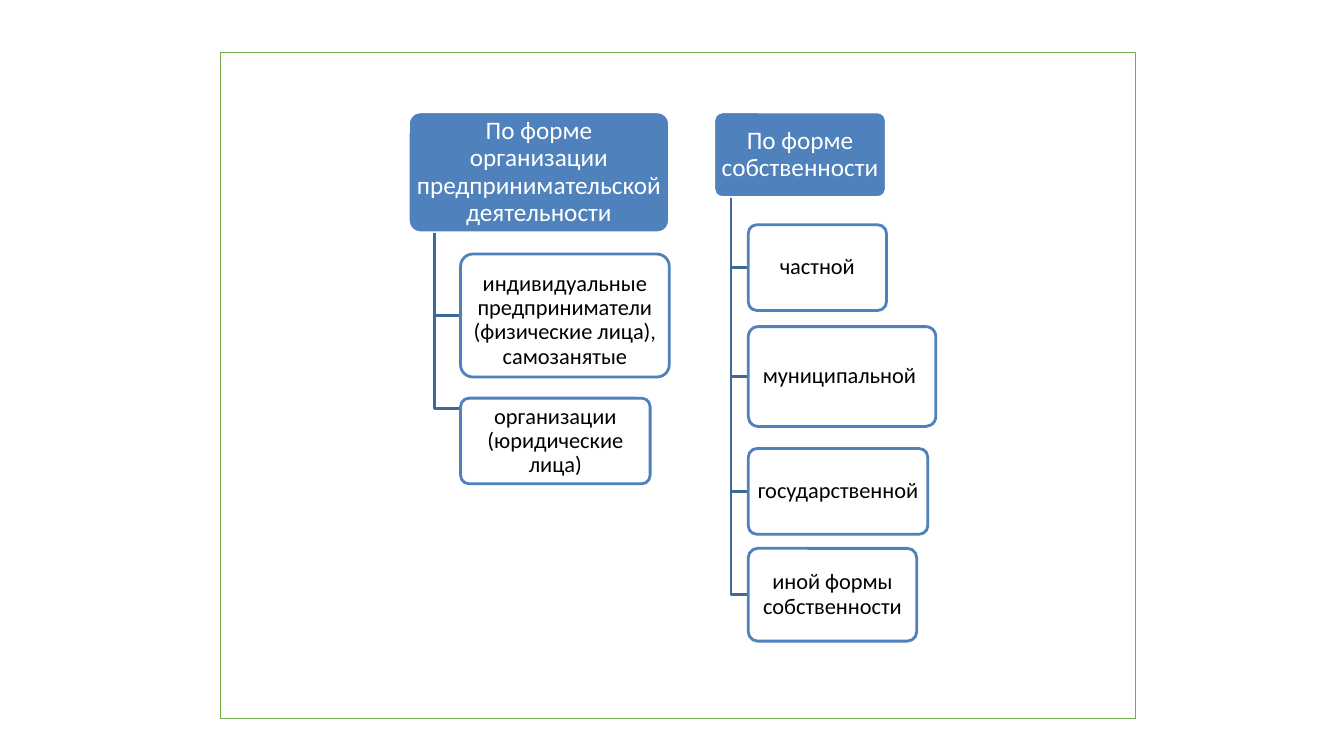
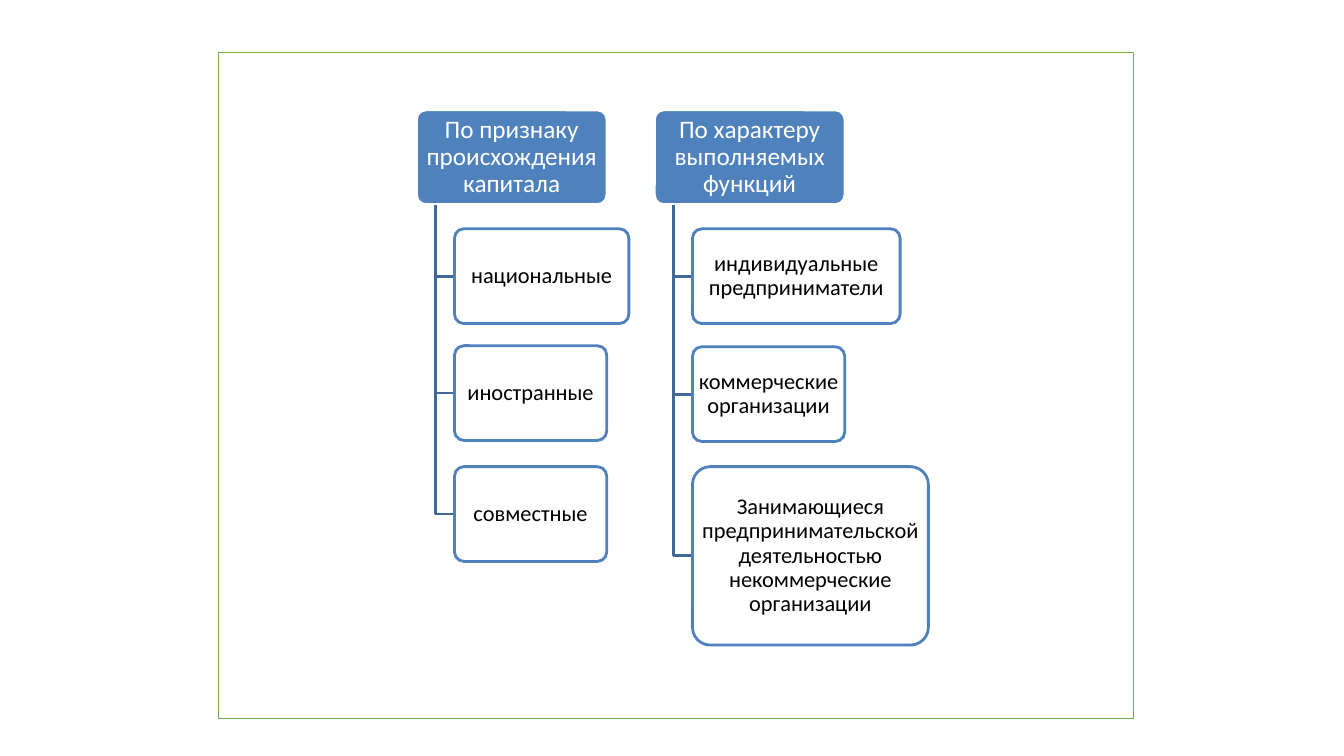
from dataclasses import dataclass

from lxml.etree import SubElement
from pptx import Presentation
from pptx.dml.color import RGBColor
from pptx.enum.shapes import MSO_SHAPE
from pptx.enum.text import MSO_ANCHOR, PP_ALIGN
from pptx.oxml.ns import qn
from pptx.util import Inches, Pt

# Shared style
FONT = "Calibri"
WHITE = "FFFFFF"
BLACK = "000000"
BLUE = "4F81BD"
DARK_BLUE = "3F6797"
GREEN = "70AD47"
BLANK_LAYOUT = 6

# Shared geometry, in inches
FRAME_TOP, FRAME_WIDTH, FRAME_HEIGHT = 0.52, 9.07, 6.61
TRUNK_SHARE = 0.1  # trunk position as a share of the heading width
ITEM_SHARE = 0.2   # item indent as a share of the heading width


@dataclass
class Item:
    text: str
    top: float
    width: float
    height: float
    branch_y: float = None  # middle of the box when not given
    top_margin: float = 0.02


@dataclass
class Branch:
    heading: str
    left: float
    top: float
    width: float
    height: float
    items: list


# Content: frame position and branches of each slide
SLIDES = [
    (2.19, [
        Branch("По форме организации предпринимательской деятельности",
               4.05, 1.11, 2.59, 1.2, [
                   Item("индивидуальные предприниматели (физические лица), самозанятые",
                        2.52, 2.07, 1.22, top_margin=0.12),
                   Item("организации (юридические лица)", 3.95, 1.88, 0.85,
                        branch_y=4.05),
               ]),
        Branch("По форме собственности", 7.08, 1.11, 1.71, 0.85, [
            Item("частной", 2.23, 1.37, 0.85),
            Item("муниципальной ", 3.24, 1.86, 0.99),
            Item("государственной", 4.45, 1.78, 0.85),
            Item("иной формы собственности", 5.44, 1.67, 0.92),
        ]),
    ]),
    (2.17, [
        Branch("По признаку происхождения капитала", 4.13, 1.09, 1.89, 0.94, [
            Item("национальные", 2.27, 1.73, 0.94),
            Item("иностранные", 3.43, 1.51, 0.94),
            Item("совместные", 4.63, 1.51, 0.94),
        ]),
        Branch("По характеру выполняемых функций", 6.49, 1.09, 1.89, 0.94, [
            Item("индивидуальные предприниматели", 2.27, 2.06, 0.94),
            Item("коммерческие организации", 3.44, 1.51, 0.94),
            Item("Занимающиеся предпринимательской деятельностью "
                 "некоммерческие организации", 4.63, 2.34, 1.77),
        ]),
    ]),
]


def color(hex_text):
    return RGBColor.from_string(hex_text)


def style_shape(shape, fill, line, line_width, opacity=100):
    """Set fill and outline; a fill of None leaves the shape open."""
    shape.shadow.inherit = False
    if fill is None:
        shape.fill.background()
    else:
        shape.fill.solid()
        shape.fill.fore_color.rgb = color(fill)
        if opacity < 100:
            fill_color = next(shape._element.spPr.iter(qn("a:srgbClr")))
            SubElement(fill_color, qn("a:alpha"), val=str(opacity * 1000))
    shape.line.color.rgb = color(line)
    shape.line.width = Pt(line_width)


def write_text(shape, text, size, font_color, side=0.02, top=0.02, bottom=0.02):
    frame = shape.text_frame
    frame.word_wrap = True
    frame.vertical_anchor = MSO_ANCHOR.MIDDLE
    frame.margin_left = frame.margin_right = Inches(side)
    frame.margin_top, frame.margin_bottom = Inches(top), Inches(bottom)
    paragraph = frame.paragraphs[0]
    paragraph.alignment = PP_ALIGN.CENTER
    paragraph.line_spacing = 0.9
    run = paragraph.add_run()
    run.text = text
    run.font.name = FONT
    run.font.size = Pt(size)
    run.font.color.rgb = color(font_color)


def add_box(slide, kind, left, top, width, height, **style):
    shape = slide.shapes.add_shape(
        kind, Inches(left), Inches(top), Inches(width), Inches(height))
    style_shape(shape, **style)
    if kind == MSO_SHAPE.ROUNDED_RECTANGLE:
        shape.adjustments[0] = 0.1
    return shape


def add_elbow(slide, trunk_x, start_y, end_x, end_y):
    """Draw a line down from the heading, then right to an item."""
    builder = slide.shapes.build_freeform(Inches(trunk_x), Inches(start_y))
    builder.add_line_segments(
        [(Inches(trunk_x), Inches(end_y)), (Inches(end_x), Inches(end_y))],
        close=False)
    style_shape(builder.convert_to_shape(), None, DARK_BLUE, 2)


def add_branch(slide, branch):
    # Heading
    heading = add_box(slide, MSO_SHAPE.ROUNDED_RECTANGLE, branch.left, branch.top,
                      branch.width, branch.height,
                      fill=BLUE, line=WHITE, line_width=2)
    write_text(heading, branch.heading, 18, WHITE, side=0.04, top=0.03, bottom=0.03)

    # Items, each joined to the heading
    trunk_x = branch.left + TRUNK_SHARE * branch.width
    item_left = branch.left + ITEM_SHARE * branch.width
    for item in branch.items:
        branch_y = item.branch_y or item.top + item.height / 2
        add_elbow(slide, trunk_x, branch.top + branch.height, item_left, branch_y)
        box = add_box(slide, MSO_SHAPE.ROUNDED_RECTANGLE, item_left, item.top,
                      item.width, item.height,
                      fill=WHITE, line=BLUE, line_width=2, opacity=90)
        write_text(box, item.text, 16, BLACK, top=item.top_margin)


def main():
    presentation = Presentation()
    presentation.slide_width = Inches(13.33)
    presentation.slide_height = Inches(7.5)
    for frame_left, branches in SLIDES:
        slide = presentation.slides.add_slide(presentation.slide_layouts[BLANK_LAYOUT])
        add_box(slide, MSO_SHAPE.RECTANGLE, frame_left, FRAME_TOP, FRAME_WIDTH,
                FRAME_HEIGHT, fill=WHITE, line=GREEN, line_width=1)
        for branch in branches:
            add_branch(slide, branch)
    presentation.save("out.pptx")


if __name__ == "__main__":
    main()
